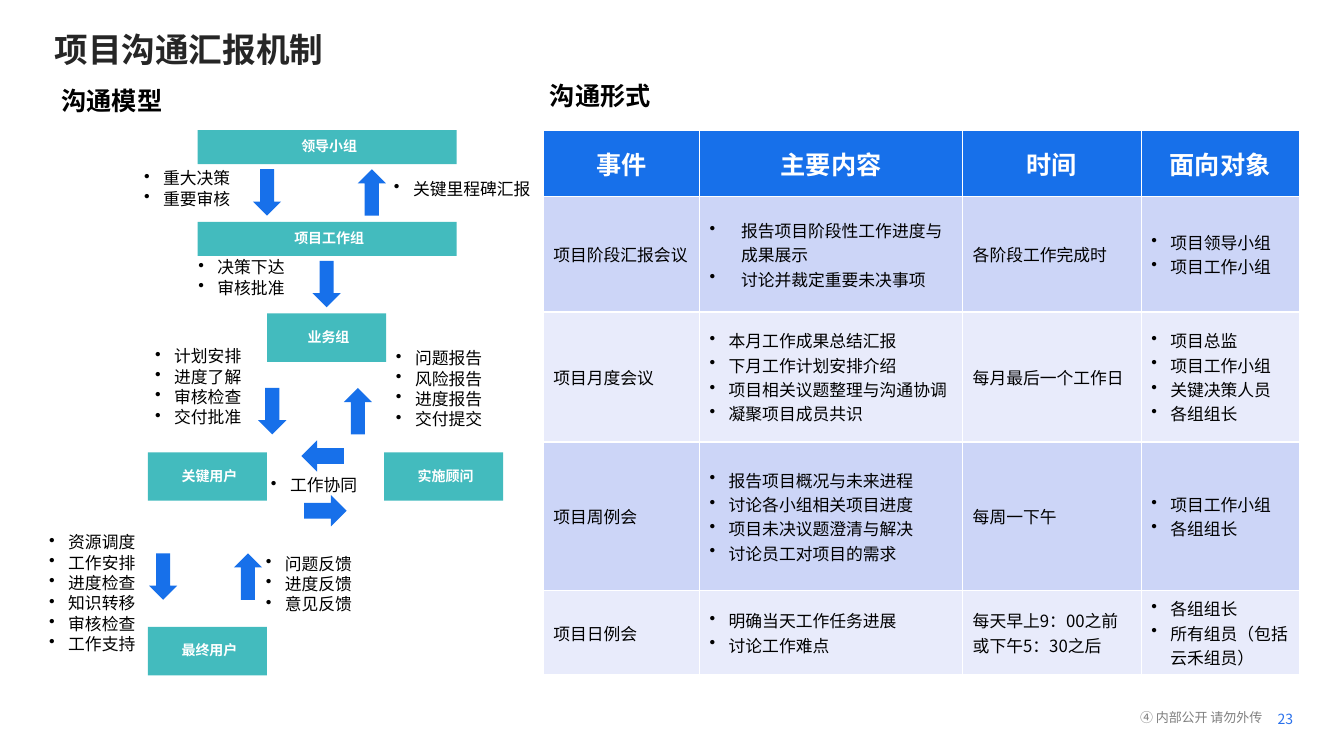
from lxml.etree import SubElement
from pptx import Presentation
from pptx.dml.color import RGBColor
from pptx.enum.shapes import MSO_SHAPE
from pptx.enum.text import MSO_ANCHOR, PP_ALIGN
from pptx.oxml.ns import qn
from pptx.util import Cm, Pt

FONT = "Noto Sans CJK SC"
COLORS = {
    "title": "262626", "text": "000000", "white": "FFFFFF", "footer": "808080",
    "page": "2A71EC", "group": "43BBBE", "blue": "1770EA",
    "dark_band": "CCD5F7", "light_band": "E8EBFB",
}
BULLET_INDENT, WIDE_INDENT = 0.48, 0.79
LINE_RATIO = 1.21  # line pitch of text boxes, as a share of the font size

# All lengths below are in centimetres.
TITLE = "项目沟通汇报机制"
HEADINGS = [("沟通模型", 1.3, 2.03), ("沟通形式", 13.61, 1.9)]

WIDE, SMALL = (6.53, 0.86), (3, 1.22)
GROUPS = [  # name, left, top, size
    ("领导小组", 4.98, 3.28, WIDE),
    ("项目工作组", 4.98, 5.59, WIDE),
    ("业务组", 6.73, 7.9, SMALL),
    ("关键用户", 3.73, 11.4, SMALL),
    ("实施顾问", 9.68, 11.4, SMALL),
    ("最终用户", 3.73, 15.8, SMALL),
]

LONG, SHORT = (1.17, 0.71), (1.07, 0.79)
RIGHT, DOWN, LEFT, UP = 0, 90, 180, 270
ARROWS = [  # centre x, centre y, direction, size
    (6.73, 4.85, DOWN, LONG), (9.37, 4.85, UP, LONG),
    (8.23, 7.16, DOWN, LONG),
    (6.86, 10.36, DOWN, LONG), (9.02, 10.36, UP, LONG),
    (8.13, 11.49, LEFT, SHORT), (8.2, 12.87, RIGHT, SHORT),
    (4.11, 14.53, DOWN, LONG), (6.25, 14.53, UP, LONG),
]

MESSAGES = [  # left, top, width, lines
    (9.68, 4.37, 4.06, ["关键里程碑汇报"]),
    (3.38, 4.11, 3, ["重大决策", "重要审核"]),
    (4.75, 6.35, 3, ["决策下达", "审核批准"]),
    (3.66, 8.59, 3, ["计划安排", "进度了解", "审核检查", "交付批准"]),
    (9.73, 8.64, 3, ["问题报告", "风险报告", "进度报告", "交付提交"]),
    (0.99, 13.28, 3, ["资源调度", "工作安排", "进度检查", "知识转移", "审核检查", "工作支持"]),
    (6.45, 13.82, 3, ["问题反馈", "进度反馈", "意见反馈"]),
    (6.58, 11.84, 3, ["工作协同"]),
]

COLUMN_WIDTHS = [3.94, 6.63, 4.5, 3.98]
ROW_HEIGHTS = [1.68, 2.9, 3.28, 3.74, 2.13]
HEADER = ["事件", "主要内容", "时间", "面向对象"]
MEETINGS = [  # lists are bulleted
    ["项目阶段汇报会议", ["报告项目阶段性工作进度与成果展示", "讨论并裁定重要未决事项"],
     "各阶段工作完成时", ["项目领导小组", "项目工作小组"]],
    ["项目月度会议",
     ["本月工作成果总结汇报", "下月工作计划安排介绍", "项目相关议题整理与沟通协调", "凝聚项目成员共识"],
     "每月最后一个工作日", ["项目总监", "项目工作小组", "关键决策人员", "各组组长"]],
    ["项目周例会",
     ["报告项目概况与未来进程", "讨论各小组相关项目进度", "项目未决议题澄清与解决", "讨论员工对项目的需求"],
     "每周一下午", ["项目工作小组", "各组组长"]],
    ["项目日例会", ["明确当天工作任务进展", "讨论工作难点"],
     "每天早上9：00之前或下午5：30之后", ["各组组长", "所有组员（包括云禾组员）"]],
]


def color(key):
    return RGBColor.from_string(COLORS[key])


def write(frame, content, size, color_key="text", bold=False, align=PP_ALIGN.LEFT,
          spacing=None, indent=BULLET_INDENT):
    """Fill a text frame; a list becomes bullets, a string one plain paragraph."""
    bulleted = isinstance(content, list)
    frame.text = "\n".join(content) if bulleted else content
    for paragraph in frame.paragraphs:
        if bulleted:
            properties = paragraph._p.get_or_add_pPr()
            properties.set("marL", str(Cm(indent)))
            properties.set("indent", str(-Cm(indent)))
            SubElement(properties, qn("a:buChar")).set("char", "•")
        paragraph.alignment = align
        if spacing:
            paragraph.line_spacing = spacing
        for run in paragraph.runs:
            run.font.size, run.font.bold, run.font.name = Pt(size), bold, FONT
            run.font.color.rgb = color(color_key)
            SubElement(run._r.get_or_add_rPr(), qn("a:ea")).set("typeface", FONT)


def set_margins(frame, left, top, right, bottom):
    frame.margin_left, frame.margin_top = Cm(left), Cm(top)
    frame.margin_right, frame.margin_bottom = Cm(right), Cm(bottom)


def add_text(slide, left, top, width, height, content, size, **style):
    frame = slide.shapes.add_textbox(Cm(left), Cm(top), Cm(width), Cm(height)).text_frame
    frame.word_wrap = True
    write(frame, content, size, spacing=Pt(round(size * LINE_RATIO, 1)), **style)
    return frame


def add_filled(slide, preset, left, top, size, color_key):
    shape = slide.shapes.add_shape(preset, Cm(left), Cm(top), *map(Cm, size))
    shape.shadow.inherit = False
    shape.fill.solid()
    shape.fill.fore_color.rgb = color(color_key)
    shape.line.fill.background()
    return shape


def add_title(slide):
    title = slide.shapes.title
    title.left, title.top, title.width, title.height = Cm(1.12), Cm(0.58), Cm(26.92), Cm(1.3)
    title.text_frame.vertical_anchor = MSO_ANCHOR.MIDDLE
    write(title.text_frame, TITLE, 24, "title", bold=True)


def add_communication_model(slide):
    for name, left, top, size in GROUPS:
        group = add_filled(slide, MSO_SHAPE.RECTANGLE, left, top, size, "group")
        set_margins(group.text_frame, 0.1, 0.2, 0, 0.2)
        group.text_frame.vertical_anchor = MSO_ANCHOR.MIDDLE
        write(group.text_frame, name, 10, "white", bold=True, align=PP_ALIGN.CENTER, spacing=0.9)
    for center_x, center_y, direction, (length, breadth) in ARROWS:
        arrow = add_filled(slide, MSO_SHAPE.RIGHT_ARROW, center_x - length / 2,
                           center_y - breadth / 2, (length, breadth), "blue")
        arrow.rotation = direction
    for left, top, width, lines in MESSAGES:
        add_text(slide, left, top, width, 0.25 + 0.51 * len(lines), lines, 12)


def add_meeting_table(slide):
    table = slide.shapes.add_table(
        len(ROW_HEIGHTS), len(COLUMN_WIDTHS), Cm(13.69), Cm(3.28),
        Cm(sum(COLUMN_WIDTHS)), Cm(sum(ROW_HEIGHTS))).table
    for column, width in zip(table.columns, COLUMN_WIDTHS):
        column.width = Cm(width)
    for row, height in zip(table.rows, ROW_HEIGHTS):
        row.height = Cm(height)
    for row_index, entries in enumerate([HEADER] + MEETINGS):
        for column_index, entry in enumerate(entries):
            cell = table.cell(row_index, column_index)
            cell.vertical_anchor = MSO_ANCHOR.MIDDLE
            cell.fill.solid()
            if row_index == 0:
                cell.fill.fore_color.rgb = color("blue")
                write(cell.text_frame, entry, 18, "white", bold=True, align=PP_ALIGN.CENTER)
            else:
                cell.fill.fore_color.rgb = color("dark_band" if row_index % 2 else "light_band")
                stage_content = (row_index, column_index) == (1, 1)
                write(cell.text_frame, entry, 12,
                      indent=WIDE_INDENT if stage_content else BULLET_INDENT)


def add_footer(slide):
    notice = add_text(slide, 27.53, 17.83, 4.3, 0.48, "④ 内部公开 请勿外传", 9.3,
                      color_key="footer", align=PP_ALIGN.RIGHT)
    page = add_text(slide, 32.18, 17.91, 0.9, 0.43, "23", 10, color_key="page")
    for frame in (notice, page):
        set_margins(frame, 0.02, 0.02, 0.02, 0.02)
        frame.vertical_anchor = MSO_ANCHOR.MIDDLE


def main():
    deck = Presentation()
    deck.slide_width, deck.slide_height = Cm(33.87), Cm(19.05)
    slide = deck.slides.add_slide(deck.slide_layouts[5])
    add_title(slide)
    for heading, left, top in HEADINGS:
        add_text(slide, left, top, 4.09, 1.02, heading, 18, bold=True)
    add_communication_model(slide)
    add_meeting_table(slide)
    add_footer(slide)
    deck.save("out.pptx")


if __name__ == "__main__":
    main()
